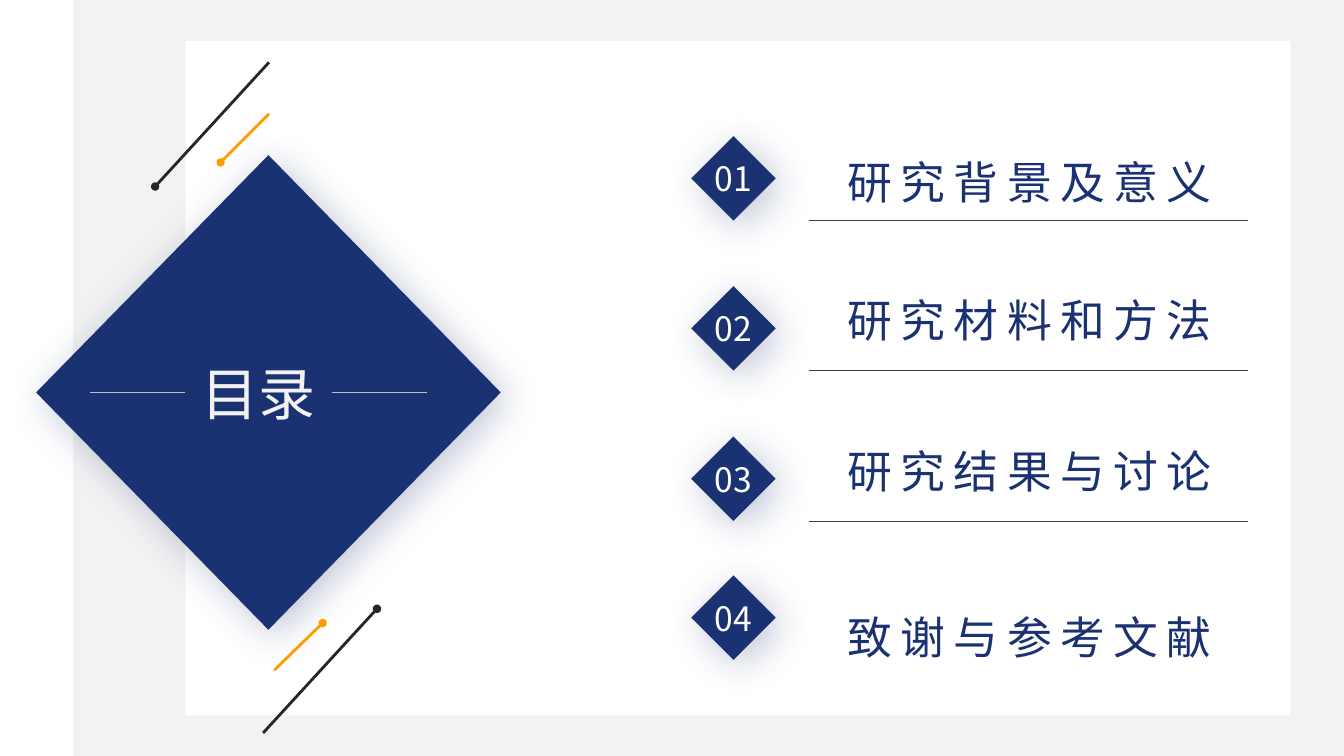
from lxml import etree
from pptx import Presentation
from pptx import util as u
from pptx.dml import color as c
from pptx.enum import shapes, text
from pptx.oxml import ns

NAVY, ORANGE, BLACK, PALE, WHITE = "1A3172", "FF9C00", "262626", "F2F2F2", "FFFFFF"
FONT = "Noto Sans CJK SC"
hue = c.RGBColor.from_string


def add_figure(kind, bounds, fill):
    figure = page.shapes.add_shape(kind, *map(u.Cm, bounds))
    figure.shadow.inherit = False
    figure.fill.solid()
    figure.fill.fore_color.rgb = hue(fill)
    figure.line.fill.background()
    if kind == shapes.MSO_SHAPE.DIAMOND:
        effects = figure._element.spPr.find(ns.qn("a:effectLst"))
        glow = etree.SubElement(effects, ns.qn("a:outerShdw"), blurRad=str(u.Pt(28)),
                                dist=str(u.Pt(7)), dir="2700000", algn="tl", rotWithShape="0")
        tint = etree.SubElement(glow, ns.qn("a:srgbClr"), val=NAVY)
        etree.SubElement(tint, ns.qn("a:alpha"), val="27000")
    return figure


def write(box, words, size, fill, anchor="MIDDLE", tracking=0, leading=1):
    frame = box.text_frame
    frame.word_wrap = False
    frame.vertical_anchor = text.MSO_ANCHOR[anchor]
    para = frame.paragraphs[0]
    para.alignment = text.PP_ALIGN.CENTER
    para.line_spacing = leading
    span = para.add_run()
    span.text = words
    for name, value in {"size": u.Pt(size), "name": FONT}.items():
        setattr(span.font, name, value)
    span.font.color.rgb = hue(fill)
    props = span._r.get_or_add_rPr()
    props.set("spc", str(tracking * 100))
    etree.SubElement(props, ns.qn("a:ea"), typeface=FONT)


deck = Presentation()
deck.slide_width, deck.slide_height = u.Cm(33.87), u.Cm(19.05)
page = deck.slides.add_slide(deck.slide_layouts[6])
page.background.fill.solid()
page.background.fill.fore_color.rgb = hue(PALE)

panels = [
    ((0, 0, 1.85, 19.05), WHITE),
    ((1.85, 0, 32.02, 19.05), PALE),
    ((4.67, 1.04, 27.86, 16.99), WHITE),
]
for bounds, fill in panels:
    add_figure(shapes.MSO_SHAPE.RECTANGLE, bounds, fill)

lines = [
    ((4.67, 9.88, 2.26, 9.88), "BFBFBF", 0.5, False),
    ((8.36, 9.88, 10.77, 9.88), "BFBFBF", 0.5, False),
    ((6.78, 1.57, 3.91, 4.7), BLACK, 2, True),
    ((6.78, 2.87, 5.56, 4.09), ORANGE, 2, True),
    ((6.63, 18.47, 9.5, 15.34), BLACK, 2, True),
    ((6.91, 16.89, 8.13, 15.7), ORANGE, 2, True),
]

side = 2.13
chapters = [
    ("研究背景及意义", 3.43, 3.1, 1.5),
    ("研究材料和方法", 7.21, 7.26, 1),
    ("研究结果与讨论", 11, 11.05, 1),
    ("致谢与参考文献", 14.5, 14.55, 1.5),
]
for number, (words, top, label_top, leading) in enumerate(chapters, 1):
    badge = add_figure(shapes.MSO_SHAPE.DIAMOND, (17.42, top, side, side), NAVY)
    write(badge, f"{number:02}", 24, WHITE)
    label = page.shapes.add_textbox(*map(u.Cm, (20.22, label_top, 11.46, 2.08)))
    write(label, words, 32, NAVY, "TOP", 6, leading)
    if number < len(chapters):
        lines.append(((20.4, top + side, 31.45, top + side), "404040", 0.5, False))

add_figure(shapes.MSO_SHAPE.DIAMOND, (0.91, 3.91, 11.71, 11.96), NAVY)
title = page.shapes.add_textbox(*map(u.Cm, (4.67, 8.99, 3.71, 1.8)))
write(title, "目录", 40.7, PALE)

for ends, fill, weight, dotted in lines:
    stroke = page.shapes.add_connector(shapes.MSO_CONNECTOR.STRAIGHT, *map(u.Cm, ends))
    stroke.line.width = u.Pt(weight)
    stroke.line.color.rgb = hue(fill)
    if dotted:
        etree.SubElement(stroke.line._get_or_add_ln(), ns.qn("a:tailEnd"), type="oval")
    etree.SubElement(stroke._element.spPr, ns.qn("a:effectLst"))

deck.save("out.pptx")
